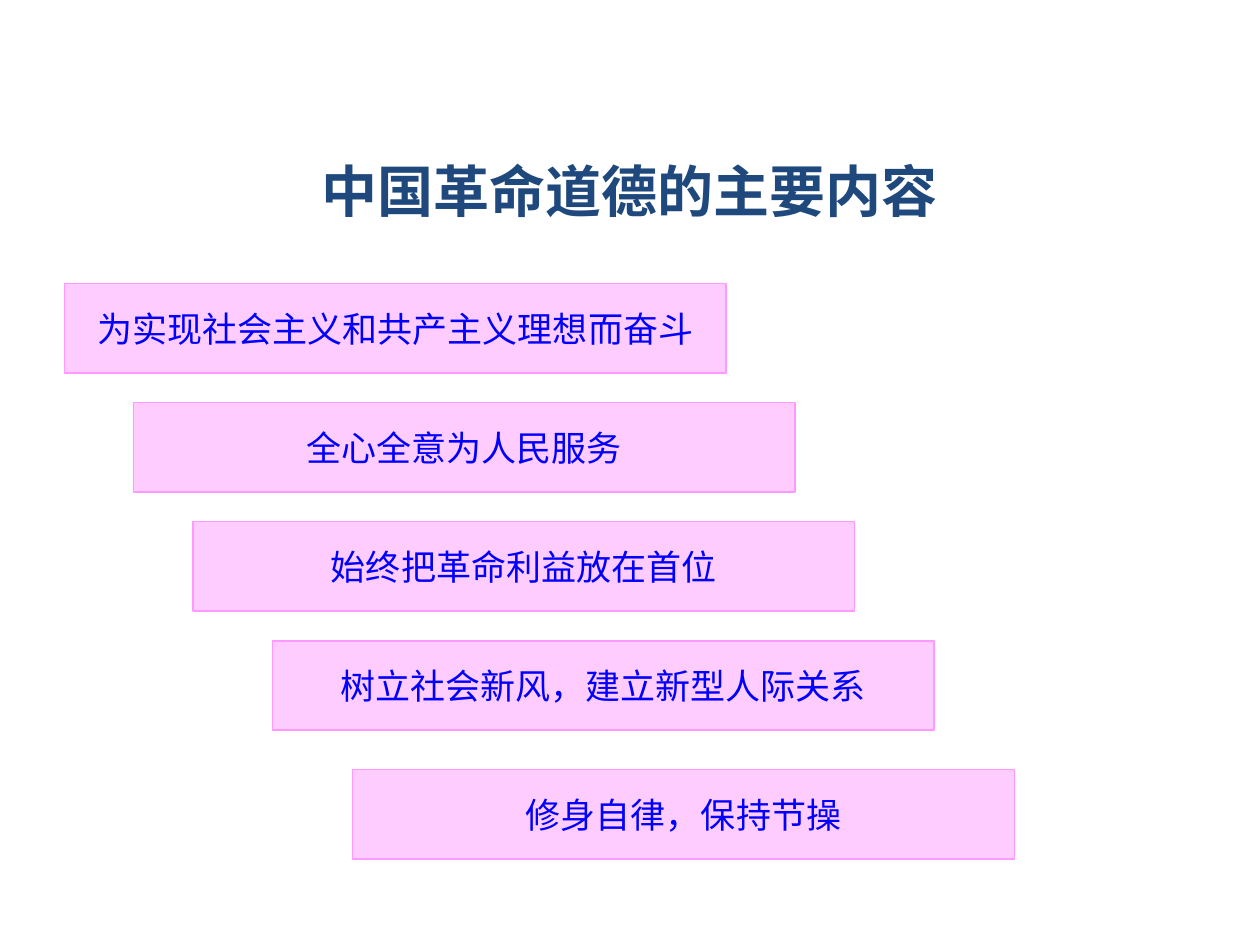
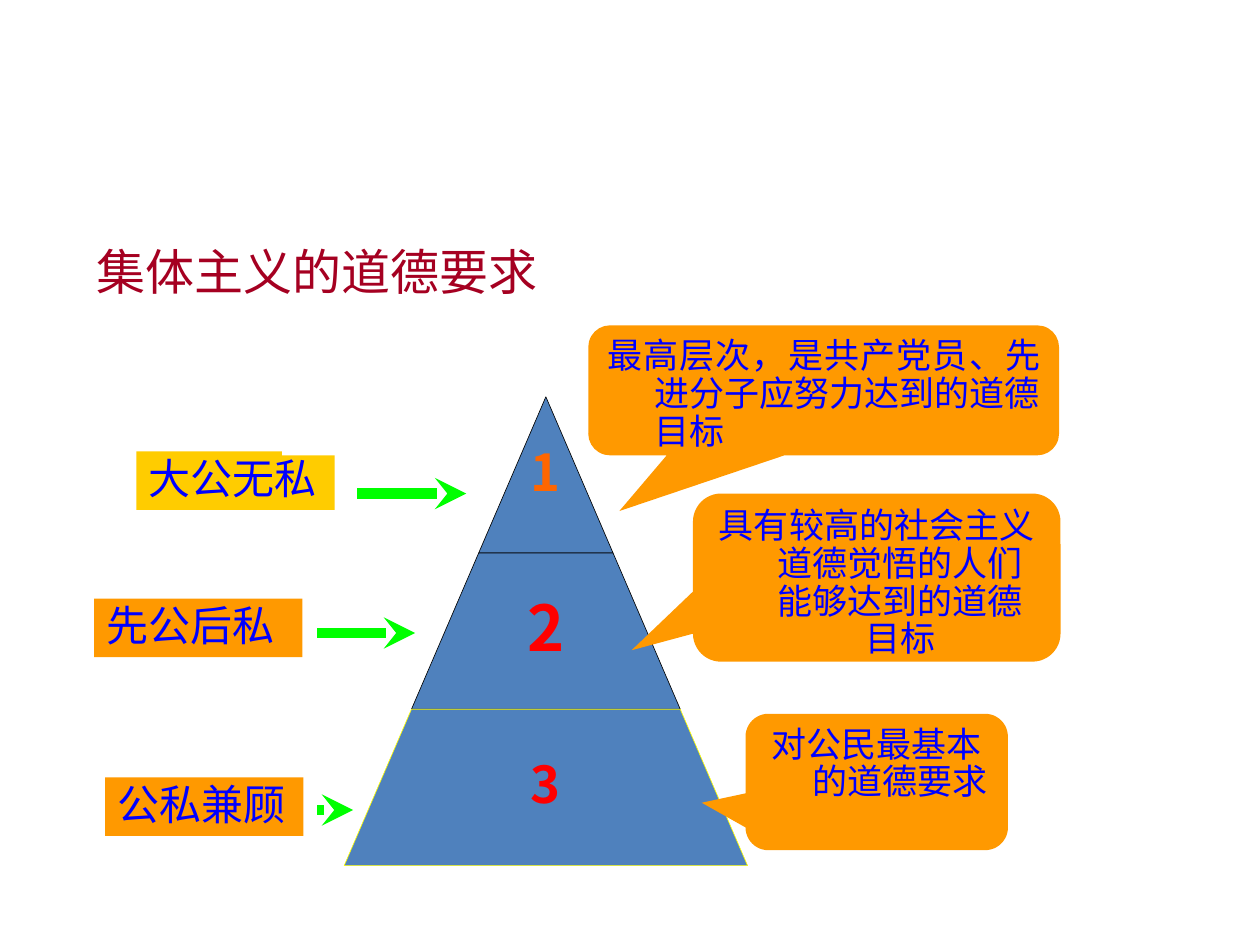
from lxml import etree
from pptx import Presentation
from pptx.dml.color import RGBColor
from pptx.enum.shapes import MSO_CONNECTOR, MSO_SHAPE
from pptx.enum.text import MSO_ANCHOR, PP_ALIGN
from pptx.oxml.ns import qn
from pptx.util import Cm, Pt

RECT = MSO_SHAPE.RECTANGLE
CALLOUT = MSO_SHAPE.ROUNDED_RECTANGULAR_CALLOUT
ARROW = MSO_SHAPE.RIGHT_ARROW
LINE = MSO_CONNECTOR.STRAIGHT
TOP, MIDDLE = MSO_ANCHOR.TOP, MSO_ANCHOR.MIDDLE
CENTER, JUSTIFY = PP_ALIGN.CENTER, PP_ALIGN.JUSTIFY

NOTO, ARIAL = "Noto Sans CJK SC", "Arial"
BLUE, NAVY, WINE = "0000FF", "1F497D", "A50021"
PINK, ROSE = "FFCCFF", "FF99FF"
ORANGE, GOLD, GREEN = "FF9900", "FFCC00", "00FF00"
STEEL, WHITE, BLACK = "4F81BD", "FFFFFF", "000000"
YELLOW, RED, AMBER = "FFFF00", "FF0000", "FF6600"
HANG = Cm(0.95)

STEPS = [
    (0, 0, "为实现社会主义和共产主义理想而奋斗"),
    (1.39, 2.4, "全心全意为人民服务"),
    (2.59, 4.8, "始终把革命利益放在首位"),
    (4.19, 7.2, "树立社会新风，建立新型人际关系"),
    (5.81, 9.8, "修身自律，保持节操"),
]
TIERS = [
    ("1", 29, AMBER, BLACK),
    ("2", 36, RED, BLACK),
    ("3", 29, RED, YELLOW),
]
# box, fill, text, then the start, end and height of the arrow
LABELS = [
    ((2.75, 9.1, 4, 1.18), GOLD, "大公无私", (7.2, 9.4, 9.95)),
    ((1.9, 12.07, 4.2, 1.18), ORANGE, "先公后私", (6.4, 8.37, 12.76)),
    ((2.12, 15.67, 4, 1.18), ORANGE, "公私兼顾", (6.4, 7.12, 16.33)),
]
NOTES = [
    ((11.86, 6.56, 9.49, 2.62), (-0.434, 0.929), JUSTIFY,
     "最高层次，是共产党员、先进分子应努力达到的道德目标"),
    ((13.97, 9.95, 7.41, 3.39), (-0.667, 0.432), CENTER,
     "具有较高的社会主义道德觉悟的人们能够达到的道德目标"),
    ((15.03, 14.39, 5.29, 2.75), (-0.667, 0.152), CENTER,
     "对公民最基本的道德要求"),
]


def rgb(code):
    return RGBColor.from_string(code)


def write(shape, text, size, color, font=NOTO, bold=False, align=CENTER,
          anchor=MIDDLE, wrap=True, hang=False, pad=True):
    frame = shape.text_frame
    frame.word_wrap = wrap
    frame.vertical_anchor = anchor
    side, edge = (Cm(0.25), Cm(0.13)) if pad else (0, 0)
    frame.margin_left = frame.margin_right = side
    frame.margin_top = frame.margin_bottom = edge
    para = frame.paragraphs[0]
    para.alignment = align
    if hang:
        para.line_spacing = 0.9
        props = para._p.get_or_add_pPr()
        props.set("marL", str(HANG))
        props.set("indent", str(-HANG))
    run = para.add_run()
    run.text = text
    run.font.size = Pt(size)
    run.font.bold = bold
    run.font.name = font
    run.font.color.rgb = rgb(color)
    asian = etree.SubElement(run._r.get_or_add_rPr(), qn("a:ea"))
    asian.set("typeface", NOTO)


def paint(shape, fill, edge=None, width=0.75):
    shape.shadow.inherit = False
    shape.fill.solid()
    shape.fill.fore_color.rgb = rgb(fill)
    if edge:
        shape.line.color.rgb = rgb(edge)
        shape.line.width = Pt(width)
    else:
        shape.line.fill.background()


def block(slide, kind, box, fill, edge=None):
    shape = slide.shapes.add_shape(kind, *map(Cm, box))
    paint(shape, fill, edge)
    return shape


def title(slide, box, text, size, color, **style):
    area = slide.shapes.add_textbox(*map(Cm, box))
    write(area, text, size, color, **style)


def stairs(slide, box):
    """Place the bars, each offset from the corner of the box."""
    left, top, width, height = box
    for right, down, text in STEPS:
        bar = block(slide, RECT, (left + right, top + down, width, height),
                    PINK, ROSE)
        write(bar, text, 20, BLUE, ARIAL, wrap=False)


def pyramid(slide, box):
    left, top, width, height = box
    mid, rise = left + width / 2, height / len(TIERS)
    grow = width / 2 / len(TIERS)
    for row, (text, size, color, edge) in enumerate(TIERS):
        high, low = top + row * rise, top + (row + 1) * rise
        near, far = row * grow, (row + 1) * grow
        points = [(mid - far, low), (mid - near, high),
                  (mid + near, high), (mid + far, low)]
        points = [(Cm(x), Cm(y)) for x, y in points]
        form = slide.shapes.build_freeform(*points[0])
        form.add_line_segments(points[1:], close=True)
        tier = form.convert_to_shape()
        paint(tier, STEEL, edge, 0.37)
        write(tier, text, size, color, bold=True, wrap=False, hang=True,
              pad=False)


def arrow(slide, start, end, y):
    line = slide.shapes.add_connector(LINE, Cm(start), Cm(y), Cm(end), Cm(y))
    line.line.color.rgb = rgb(GREEN)
    line.line.width = Pt(6)
    tail = etree.SubElement(line.line._get_or_add_ln(), qn("a:tailEnd"))
    tail.set("type", "stealth")
    etree.SubElement(line._element.spPr, qn("a:effectLst"))


def label(slide, box, fill, text, span):
    shape = block(slide, RECT, box, fill)
    write(shape, text, 24, BLUE, align=JUSTIFY, anchor=TOP, hang=True)
    arrow(slide, *span)


def note(slide, box, tip, align, text):
    shape = block(slide, CALLOUT, box, ORANGE)
    for place, value in enumerate((*tip, 0.167)):
        shape.adjustments[place] = value
    write(shape, text, 20, BLUE, align=align, anchor=TOP, hang=True)


def mask(slide, box):
    """Cut the corner of the first label with a white bar."""
    shape = block(slide, ARROW, box, WHITE)
    shape.adjustments[0] = 0.556
    shape.adjustments[1] = 0


def content(slide):
    title(slide, (1.27, 2.54, 22.86, 2.59), "中国革命道德的主要内容", 32, NAVY,
          font=ARIAL, bold=True)
    stairs(slide, (1.3, 5.72, 13.34, 1.8))


def demands(slide):
    pyramid(slide, (6.94, 8, 8.13, 9.45))
    title(slide, (1.7, 4.88, 22.17, 1.32), "集体主义的道德要求", 28, WINE,
          align=JUSTIFY, anchor=TOP, hang=True)
    for item in LABELS:
        label(slide, *item)
    for item in NOTES:
        note(slide, *item)
    mask(slide, (5.69, 8.13, 3.6, 1.35))


def main():
    deck = Presentation()
    deck.slide_width, deck.slide_height = Cm(25.4), Cm(19.05)
    for build in (content, demands):
        build(deck.slides.add_slide(deck.slide_layouts[6]))
    deck.save("out.pptx")


if __name__ == "__main__":
    main()
